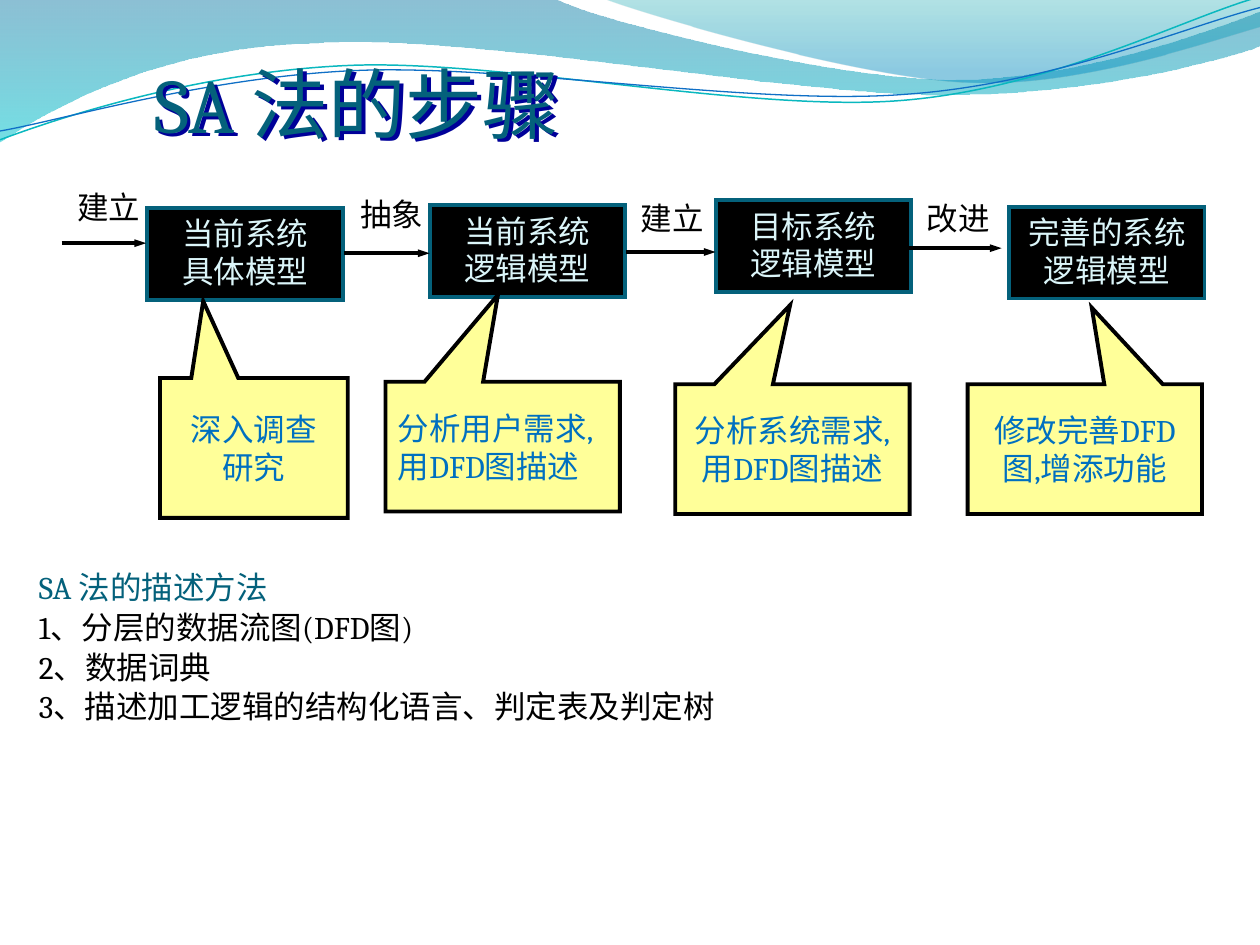
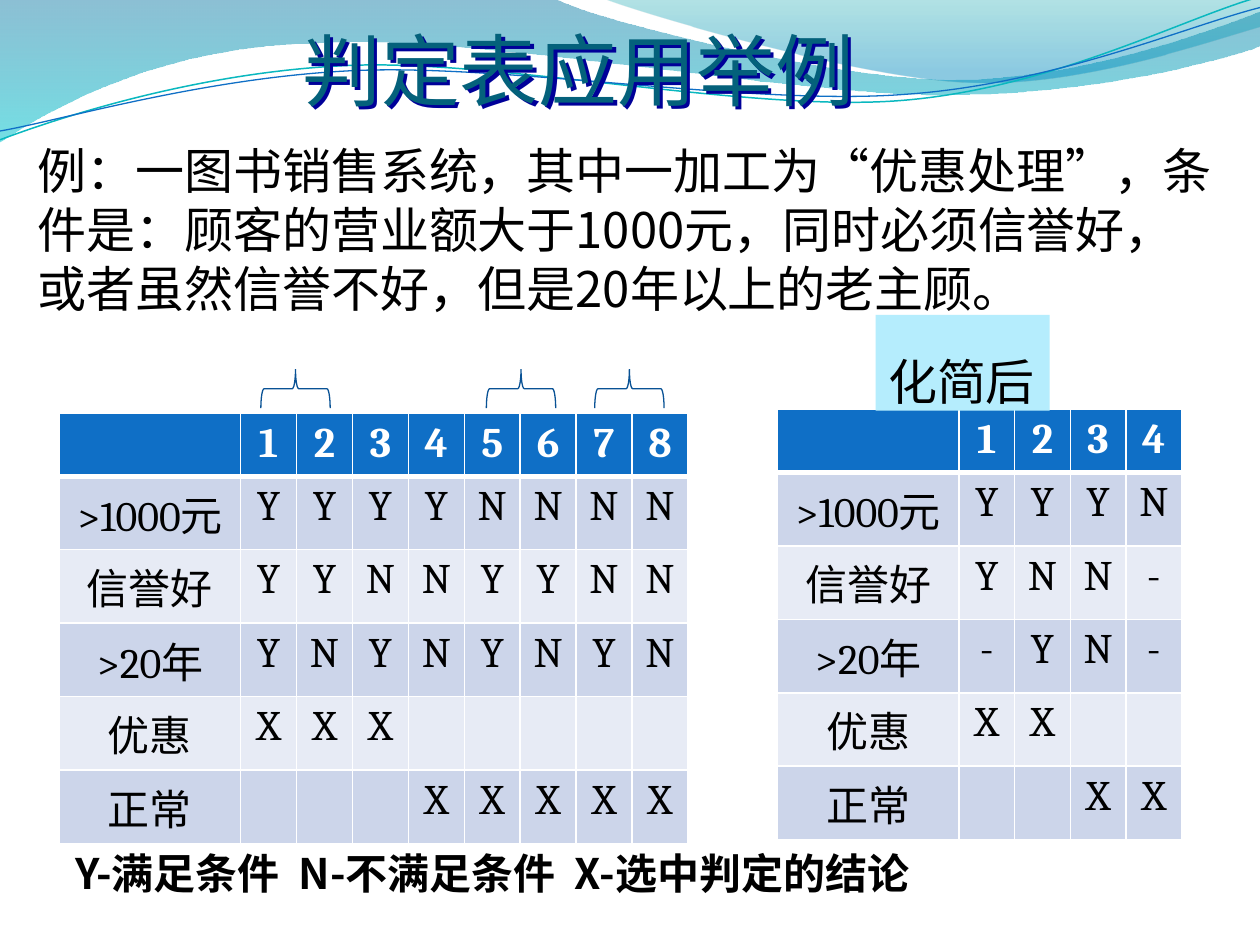
import lxml.etree
import pptx
import pptx.dml.color
import pptx.enum.shapes
import pptx.enum.text
import pptx.oxml.ns
import pptx.util

COLUMNS = 100
WIDTH, HEIGHT = pptx.util.Inches(10), pptx.util.Inches(7.5)
SERIF, SANS, TITLE_SANS = "Cambria", "Noto Sans CJK SC", "Calibri"
BLACK, WHITE, TEAL, BLUE, SHADOW = "000000", "FFFFFF", "04617B", "0F6FC6", "000099"
ROW_FILLS = ["CCD5EA", "E7EBF5"]
LEFT, CENTER = pptx.enum.text.PP_ALIGN.LEFT, pptx.enum.text.PP_ALIGN.CENTER
TOP, MIDDLE, BOTTOM = (getattr(pptx.enum.text.MSO_ANCHOR, n) for n in ("TOP", "MIDDLE", "BOTTOM"))
SHAPE = pptx.enum.shapes.MSO_SHAPE

WAVES = [
    {"points": [(0, 0), (44, -0.1), (47.6, 1.7, 66.4, 6.3, 75.8, 6.3),
                (85.3, 6.3, 95.8, 2.6, 100, 0.9), (100.1, 3.6),
                (98.3, 4.4, 87, 7.6, 74.6, 7.5), (62.2, 7.5, 38.2, 2.8, 25.7, 3.4),
                (12.9, 3.6, 4.6, 8.3, -0.1, 11.3), (0, 0)],
     "gradient": [(0, "0074A1", 45), (1, "00C6CF", 55)]},
    {"points": [(47.9, -0.1), (50.9, 1.1, 68.2, 6.2, 76.9, 6.5),
                (85.6, 6.9, 96.1, 3.2, 100, 2.1), (100, 0), (47.9, -0.1)],
     "gradient": [(0, "00A1A9", 30), (0.8, "008BBF", 45)]},
    {"points": [(0, 11.1), (4.8, 9.3, 15.8, 5.7, 27.7, 5.2),
                (39.5, 4.7, 59.3, 8.9, 71.3, 8), (83.3, 7.1, 93.8, 1.5, 99.8, -0.2)],
     "line": ("0AB8BF", 0.85)},
    {"points": [(0, 10.4), (4.7, 9.6, 16.4, 6.1, 28.3, 5.6),
                (40.3, 5.1, 59.7, 8.4, 71.7, 7.5), (83.6, 6.7, 94.1, 2.1, 100, 0.6)],
     "line": (BLUE, 0.75)},
]

MODELS = [
    (11.7, 16.5, ["当前系统", "具体模型"]),
    (34.1, 16.3, ["当前系统", "逻辑模型"]),
    (56.8, 15.9, ["目标系统", "逻辑模型"]),
    (80.1, 16.4, ["完善的系统逻辑模型"]),
]
STEPS = [
    ((4.9, 11.6, 19.3), (3.5, 13.5, 10.3), "建立"),
    ((27.3, 34.1, 20.1), (26.8, 14.1, 8.6), "抽象"),
    ((49.7, 56.8, 20), (48.2, 14.4, 10.3), "建立"),
    ((72, 79.5, 19.7), (71.9, 14.4, 8.3), "改进"),
]
CALLOUTS = [
    ((12.7, 30, 14.9, 11.1), (-0.27, -1.05), ["深入调查", "研究"], CENTER),
    ((30.6, 30.3, 18.6, 10.3), (-0.02, -1.17), ["分析用户需求,用DFD图描述"], LEFT),
    ((53.6, 30.5, 18.6, 10.3), (-0.01, -1.11), ["分析系统需求,用DFD图描述"], CENTER),
    ((76.8, 30.5, 18.6, 10.3), (0.03, -1.09), ["修改完善DFD图,增添功能"], CENTER),
]
METHODS = ["1、分层的数据流图(DFD图)", "2、数据词典",
           "3、描述加工逻辑的结构化语言、判定表及判定树"]
CONDITIONS = [">1000元", "信誉好", ">20年", "优惠", "正常"]
FULL_RULES = ["YYYYNNNN", "YYNNYYNN", "YNYNYNYN", "XXX     ", "   XXXXX"]
MERGED_RULES = ["YYYN", "YNN-", "-YN-", "XX  ", "  XX"]


def rgb(hex_color):
    return pptx.dml.color.RGBColor.from_string(hex_color)


def grid(*values):
    return [pptx.util.Emu(round(v * WIDTH / COLUMNS)) for v in values]


def add_xml(parent, tag, **attrs):
    return lxml.etree.SubElement(parent, pptx.oxml.ns.qn(tag), attrs)


def set_all(target, values):
    for name, value in values.items():
        setattr(target, name, value)


def write(tf, lines, size, color, font=SERIF, bold=False, indent=0, **format_values):
    for line in lines:
        p = tf.paragraphs[-1]
        if p.runs:
            p = tf.add_paragraph()
        set_all(p, format_values)
        if indent:
            p._p.get_or_add_pPr().set("indent", str(grid(indent)[0]))
        r = p.add_run()
        r.text = line
        set_all(r.font, {"size": pptx.util.Pt(size), "bold": bold, "name": font})
        r.font.color.rgb = rgb(color)
        add_xml(r._r.get_or_add_rPr(), "a:ea", typeface=SANS)


def set_line(sp, color, width):
    sp.line.color.rgb = rgb(color)
    sp.line.width = pptx.util.Pt(width)
    add_xml(sp.line._get_or_add_ln(), "a:miter", lim="800000")


def add_box(slide, kind, box, fill=None, line=None, anchor=TOP):
    sp = slide.shapes.add_shape(kind, *grid(*box))
    sp.shadow.inherit = False
    if fill:
        sp.fill.solid()
        sp.fill.fore_color.rgb = rgb(fill)
    else:
        sp.fill.background()
    if line:
        set_line(sp, *line)
    else:
        sp.line.fill.background()
    set_all(sp.text_frame, {"word_wrap": True, "vertical_anchor": anchor})
    return sp


def add_text(slide, box, lines, size, color, **options):
    tf = slide.shapes.add_textbox(*grid(*box)).text_frame
    tf.word_wrap = True
    write(tf, lines, size, color, **options)
    return tf


def add_arrow(slide, x1, x2, y):
    cx = slide.shapes.add_connector(pptx.enum.shapes.MSO_CONNECTOR.STRAIGHT, *grid(x1, y, x2, y))
    set_line(cx, BLACK, 2.25)
    add_xml(cx.line._get_or_add_ln(), "a:tailEnd", type="triangle", w="sm", len="med")
    add_xml(cx._element.spPr, "a:effectLst")


def bend(sp, segments):
    nodes = list(sp._element.iter(pptx.oxml.ns.qn("a:lnTo")))
    for segment in segments:
        count = len(segment) // 2
        group, nodes = nodes[:count], nodes[count:]
        if count == 3:
            group[0].tag = pptx.oxml.ns.qn("a:cubicBezTo")
            for node in group[1:]:
                group[0].append(node[0])
                node.getparent().remove(node)


def add_wave(slide, points, gradient=None, line=None):
    start, *segments = points
    knots = [grid(*s[i:i + 2]) for s in segments for i in range(0, len(s), 2)]
    builder = slide.shapes.build_freeform(*grid(*start))
    builder.add_line_segments(knots, close=bool(gradient))
    sp = builder.convert_to_shape()
    bend(sp, segments)
    sp.shadow.inherit = False
    if line:
        sp.fill.background()
        set_line(sp, *line)
        return sp
    sp.line.fill.background()
    sp.fill.gradient()
    sp.fill.gradient_angle = 270
    for stop, (position, color, _) in zip(sp.fill.gradient_stops, gradient):
        stop.position = position
        stop.color.rgb = rgb(color)
    for gs, (_, _, alpha) in zip(sp._element.iter(pptx.oxml.ns.qn("a:gs")), gradient):
        add_xml(gs[0], "a:alpha", val=str(alpha * 1000))
    return sp


def add_band(slide, layout):
    for i, wave in enumerate(WAVES):
        layout.shapes._spTree.insert(2 + i, add_wave(slide, **wave)._element)


def set_title(slide, box, text, size, font, align, anchor, margins):
    title = slide.shapes.title
    set_all(title, dict(zip(("left", "top", "width", "height"), grid(*box))))
    tf = title.text_frame
    set_all(tf, {"auto_size": pptx.enum.text.MSO_AUTO_SIZE.NONE, "word_wrap": True,
                 "vertical_anchor": anchor})
    set_all(tf, dict(zip(("margin_left", "margin_top", "margin_right", "margin_bottom"),
                         grid(*margins))))
    write(tf, [text], size, TEAL, font=font, alignment=align)
    effects = add_xml(title._element.spPr, "a:effectLst")
    shadow = add_xml(effects, "a:outerShdw", dist="35900", dir="2700000", algn="ctr")
    add_xml(shadow, "a:srgbClr", val=SHADOW)


def underline_cell(cell):
    tcPr = cell._tc.get_or_add_tcPr()
    ln = add_xml(tcPr, "a:lnB", w=str(pptx.util.Pt(3)))
    add_xml(add_xml(ln, "a:solidFill"), "a:srgbClr", val=WHITE)
    tcPr.insert(0, ln)


def add_decision_table(slide, left, top, width, rules, label_width=14.4):
    count = len(rules[0])
    header = [""] + [str(n + 1) for n in range(count)]
    body = [[label, *marks] for label, marks in zip(CONDITIONS, rules)]
    heights = [4.75] + [5.83] * len(body)
    table = slide.shapes.add_table(len(heights), count + 1,
                                   *grid(left, top, width, sum(heights))).table
    widths = [label_width] + [(width - label_width) / count] * count
    for column, w in zip(table.columns, grid(*widths)):
        column.width = w
    for row, h in zip(table.rows, grid(*heights)):
        row.height = h
    for i, values in enumerate([header] + body):
        for j, value in enumerate(values):
            cell = table.cell(i, j)
            cell.fill.solid()
            cell.fill.fore_color.rgb = rgb(ROW_FILLS[(i - 1) % 2] if i else BLUE)
            if i == 0:
                underline_cell(cell)
            if value.strip():
                write(cell.text_frame, [value], 24, BLACK if i else WHITE,
                      bold=i == 0, alignment=CENTER)


def build_steps(slide):
    set_title(slide, (4.9, 4.6, 46.9, 7.1), "SA 法的步骤", 44, SERIF, CENTER, MIDDLE,
              (1, 0.5, 1, 0.5))
    tf = add_text(slide, (0, 44, 100, 24.2), ["SA 法的描述方法"], 18, TEAL,
                  indent=2.1, line_spacing=1.2)
    write(tf, METHODS, 18, BLACK, indent=2.1, line_spacing=1.05)
    for x, y, lines in MODELS:
        sp = add_box(slide, SHAPE.RECTANGLE, (x, y, 15.5, 7.3), BLACK, (TEAL, 2.25))
        write(sp.text_frame, lines, 18, "DBF5F9", alignment=CENTER)
    for arrow, (x, y, w), label in STEPS:
        add_arrow(slide, *arrow)
        add_text(slide, (x, y, w, 4.9), [label], 18, BLACK, alignment=CENTER, line_spacing=1.3)
    for box, tip, lines, align in CALLOUTS:
        sp = add_box(slide, SHAPE.RECTANGULAR_CALLOUT, box, "FFFF99", (BLACK, 2.25), MIDDLE)
        for i, value in enumerate(tip):
            sp.adjustments[i] = value
        write(sp.text_frame, lines, 18, "0070C0", alignment=align)


def build_decision_tables(slide):
    set_title(slide, (24, 3.6, 52.2, 5.6), "判定表应用举例", 45, TITLE_SANS, LEFT, BOTTOM,
              (0, 0.5, 0, 0))
    example = ("例：一图书销售系统，其中一加工为“优惠处理”，条件是：顾客的营业额大于1000元，"
               "同时必须信誉好，或者虽然信誉不好，但是20年以上的老主顾。")
    add_text(slide, (2, 10.7, 95.5, 15), [example], 28, BLACK, font=SANS)
    add_decision_table(slide, 4.7, 32.8, 49.9, FULL_RULES)
    add_decision_table(slide, 61.7, 32.5, 32.1, MERGED_RULES)
    for x in (21.9, 39.8, 48.4):
        add_box(slide, SHAPE.LEFT_BRACE, (x, 28.1, 3.1, 5.5), line=("095295", 0.75)).rotation = 90
    add_text(slide, (5, 65.6, 74.7, 5.5), ["Y-满足条件  N-不满足条件  X-选中判定的结论"], 24,
             BLACK, font=SANS, bold=True, line_spacing=1.3)
    sp = add_box(slide, SHAPE.RECTANGLE, (69.5, 25, 13.8, 7.6), "B5EDFD", anchor=MIDDLE)
    sp.text_frame.word_wrap = False
    write(sp.text_frame, ["化简后"], 28, BLACK, alignment=LEFT, line_spacing=1.6)


def main():
    prs = pptx.Presentation()
    set_all(prs, {"slide_width": WIDTH, "slide_height": HEIGHT})
    layout = prs.slide_layouts[5]
    steps, tables = (prs.slides.add_slide(layout) for _ in range(2))
    add_band(steps, layout)
    build_steps(steps)
    build_decision_tables(tables)
    prs.save("out.pptx")


if __name__ == "__main__":
    main()
